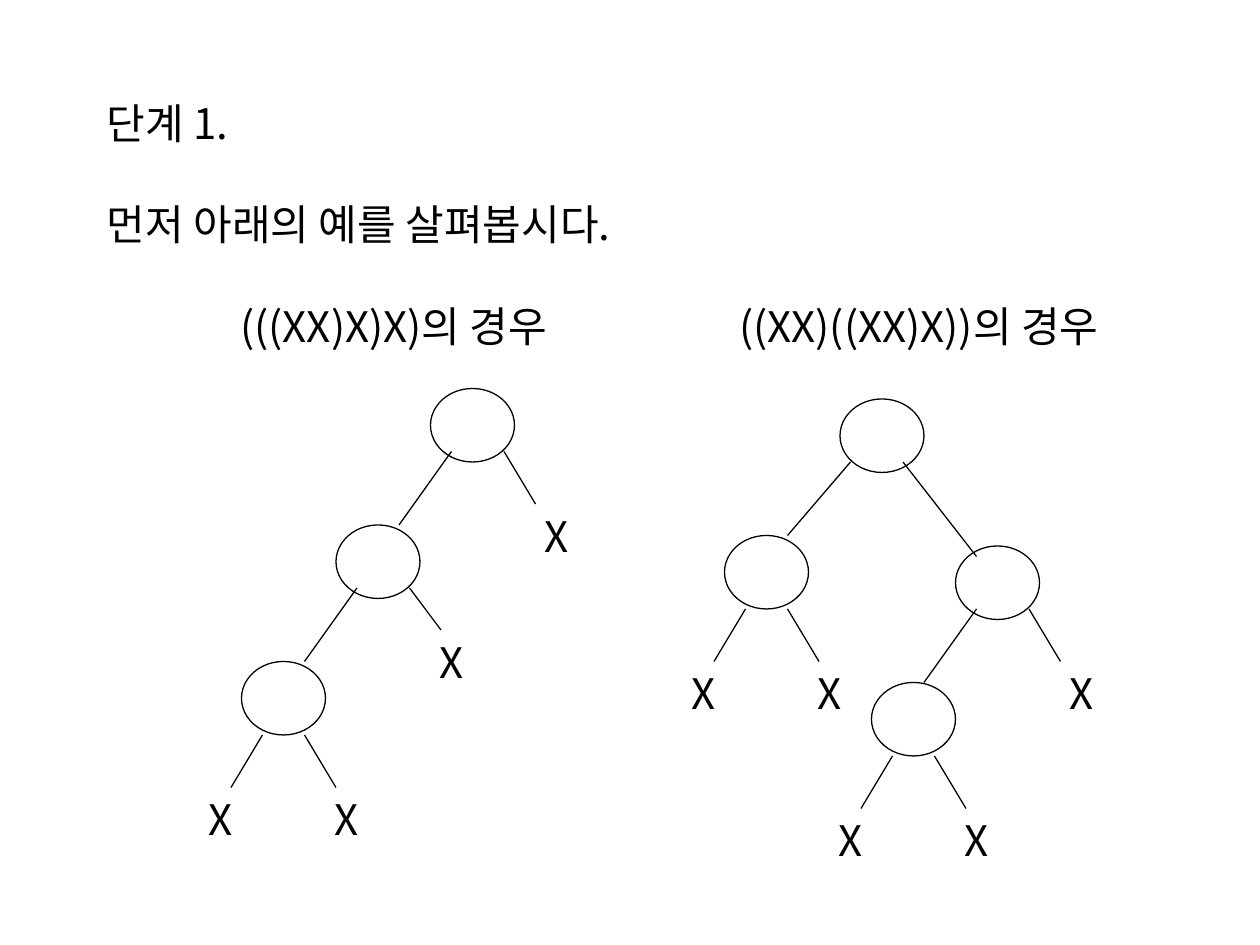
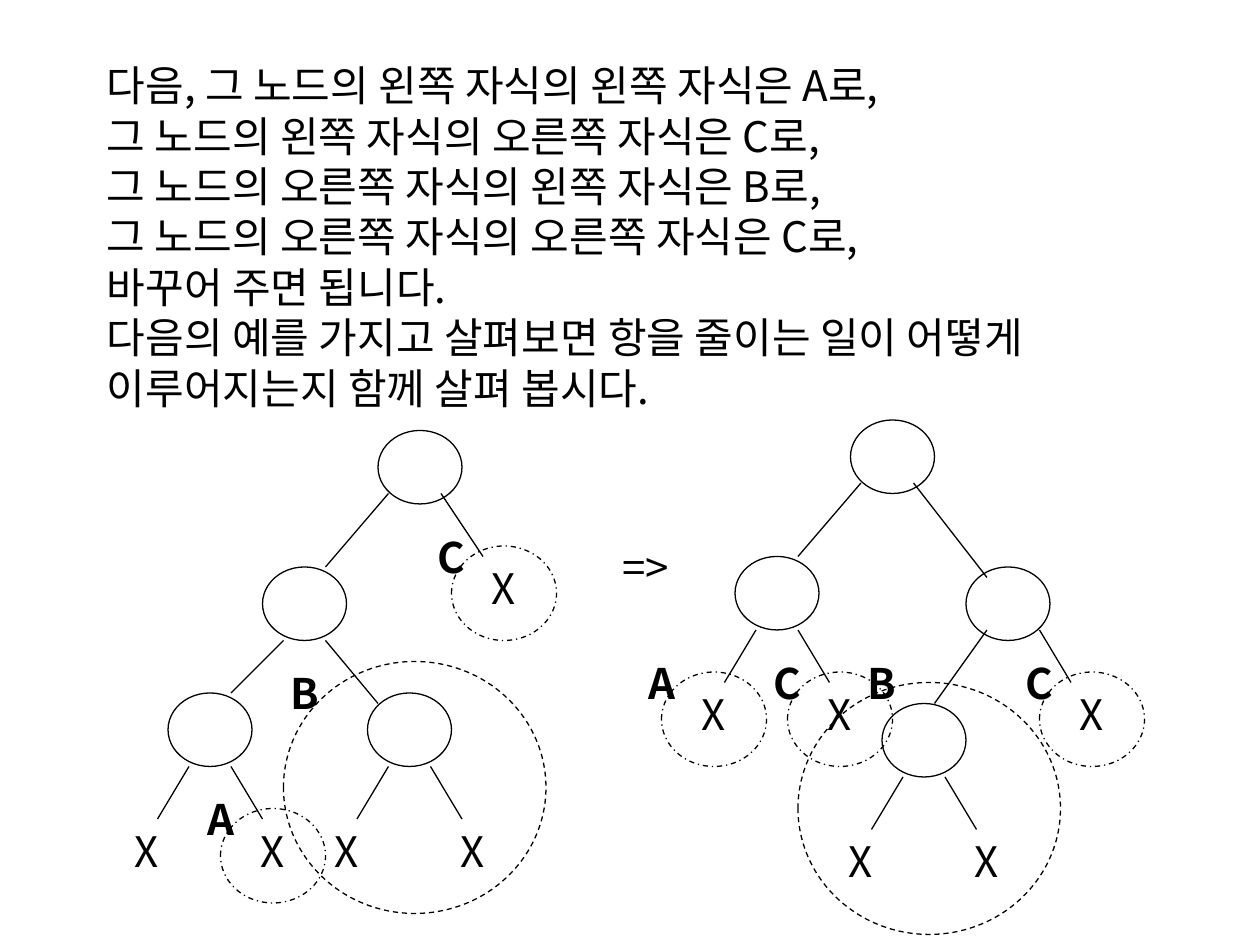
from pptx import Presentation
from pptx.util import Cm, Pt
from pptx.dml.color import RGBColor
from pptx.enum.dml import MSO_LINE
from pptx.enum.shapes import MSO_CONNECTOR, MSO_SHAPE
from pptx.enum.text import MSO_ANCHOR, PP_ALIGN
from lxml import etree

COLORS = {"ink": "000000", "paper": "FFFFFF"}
FONT = "Noto Sans CJK KR"
NS = "http://schemas.openxmlformats.org/drawingml/2006/main"

INTRO = ["단계 1.", "먼저 아래의 예를 살펴봅시다."]
RULES = [
    "다음, 그 노드의 왼쪽 자식의 왼쪽 자식은 A로,",
    "그 노드의 왼쪽 자식의 오른쪽 자식은 C로,",
    "그 노드의 오른쪽 자식의 왼쪽 자식은 B로,",
    "그 노드의 오른쪽 자식의 오른쪽 자식은 C로,",
    "바꾸어 주면 됩니다.",
    "다음의 예를 가지고 살펴보면 항을 줄이는 일이 어떻게 이루어지는지 함께 살펴 봅시다.",
]


def grid(*steps):
    """Turn grid steps (twelve to the inch) into lengths."""
    return [Cm(2.54 * step / 12) for step in steps]


def color(name):
    return RGBColor.from_string(COLORS[name])


# Basic elements
def add_text(slide, lines, x, y, w, h=6, bold=False, align=PP_ALIGN.CENTER,
             anchor=MSO_ANCHOR.TOP, gap=0):
    frame = slide.shapes.add_textbox(*grid(x, y, w, h)).text_frame
    frame.word_wrap = True
    frame.vertical_anchor = anchor
    frame.text = "\n".join(lines)
    for i, para in enumerate(frame.paragraphs):
        para.alignment = align
        if i and gap:
            para.space_before = Pt(gap)
        for run in para.runs:
            font = run.font
            font.name, font.size, font.bold = FONT, Pt(24), bold
            font.color.rgb = color("ink")
            latin = font._element.find(f"{{{NS}}}latin")
            east = etree.Element(f"{{{NS}}}ea", typeface=FONT)
            latin.addnext(east)


def add_title(slide, lines, y, h, gap=0):
    add_text(slide, lines, 9, y, 103, h, align=PP_ALIGN.LEFT,
             anchor=MSO_ANCHOR.MIDDLE, gap=gap)


def add_oval(slide, x, y, w=8, h=7, dash=None):
    oval = slide.shapes.add_shape(MSO_SHAPE.OVAL, *grid(x, y, w, h))
    oval.shadow.inherit = False
    oval.fill.background()
    oval.line.color.rgb = color("ink")
    oval.line.width = Pt(0.75)
    if dash:
        oval.line.dash_style = dash


def add_edge(slide, x1, y1, x2, y2):
    edge = slide.shapes.add_connector(MSO_CONNECTOR.STRAIGHT,
                                      *grid(x1, y1, x2, y2))
    edge.line.color.rgb = color("ink")
    edge.line.width = Pt(0.75)
    etree.SubElement(edge._element.spPr, f"{{{NS}}}effectLst")


# Tree parts
def add_leaf(slide, x, y):
    add_text(slide, ["X"], x, y, 8)


def add_pair(slide, x, y):
    """A node with a leaf on each side."""
    add_oval(slide, x, y)
    for start, end, leaf in ((2, -1, -6), (6, 9, 6)):
        add_edge(slide, x + start, y + 7, x + end, y + 12)
        add_leaf(slide, x + leaf, y + 12)


def add_mark(slide, name, x, y):
    """A small ring around one leaf, with its letter."""
    add_oval(slide, x, y, 10, 9, MSO_LINE.DASH_DOT)
    add_text(slide, [name], x - 4, y - 2, 8, bold=True)


def add_group(slide, x, y, left, top):
    """A large ring around a subtree, with the letter B."""
    add_oval(slide, x, y, 25, 24, MSO_LINE.DASH)
    add_text(slide, ["B"], left, top, 8, bold=True)


# Whole trees
def chain_tree(slide):
    """(((XX)X)X)"""
    add_oval(slide, 41, 37)
    add_oval(slide, 32, 50)
    add_pair(slide, 23, 63)
    for edge in ((43, 43, 38, 50), (34, 56, 29, 63),
                 (48, 43, 51, 48), (39, 56, 42, 60)):
        add_edge(slide, *edge)
    add_leaf(slide, 49, 48)
    add_leaf(slide, 39, 60)


def split_tree(slide, x, y):
    """((XX)((XX)X)) with its root at x, y"""
    add_oval(slide, x, y)
    add_oval(slide, x + 11, y + 14)
    add_pair(slide, x - 11, y + 13)
    add_pair(slide, x + 3, y + 27)
    for x1, y1, x2, y2 in ((1, 6, -5, 13), (6, 6, 13, 15),
                           (13, 20, 8, 27), (18, 20, 21, 25)):
        add_edge(slide, x + x1, y + y1, x + x2, y + y2)
    add_leaf(slide, x + 19, y + 25)


def source_tree(slide):
    """(((XX)(XX))X)"""
    add_oval(slide, 36, 41)
    add_oval(slide, 25, 54)
    add_pair(slide, 16, 66)
    add_pair(slide, 35, 66)
    for edge in ((37, 47, 31, 54), (42, 47, 46, 53),
                 (27, 61, 22, 66), (31, 61, 36, 67)):
        add_edge(slide, *edge)
    add_leaf(slide, 44, 53)


def new_slide(deck):
    slide = deck.slides.add_slide(deck.slide_layouts[6])
    slide.background.fill.solid()
    slide.background.fill.fore_color.rgb = color("paper")
    return slide


# Slides
def show_cases(deck):
    slide = new_slide(deck)
    add_title(slide, INTRO, 9, 15, gap=29)
    add_text(slide, ["(((XX)X)X)의 경우"], 20, 28, 35)
    add_text(slide, ["((XX)((XX)X))의 경우"], 66, 28, 43)
    chain_tree(slide)
    split_tree(slide, 80, 38)


def show_swap(deck):
    slide = new_slide(deck)
    add_title(slide, RULES, 5, 35)
    source_tree(slide)
    add_text(slide, ["=>"], 56, 51, 11)
    split_tree(slide, 81, 40)
    for mark in (("A", 21, 77), ("C", 43, 52),
                 ("A", 63, 64), ("C", 75, 64), ("C", 99, 64)):
        add_mark(slide, *mark)
    add_group(slide, 27, 63, 25, 63)
    add_group(slide, 76, 65, 80, 62)


def main():
    deck = Presentation()
    deck.slide_width, deck.slide_height = Cm(25.4), Cm(19.05)
    show_cases(deck)
    show_swap(deck)
    deck.save("out.pptx")


if __name__ == "__main__":
    main()
